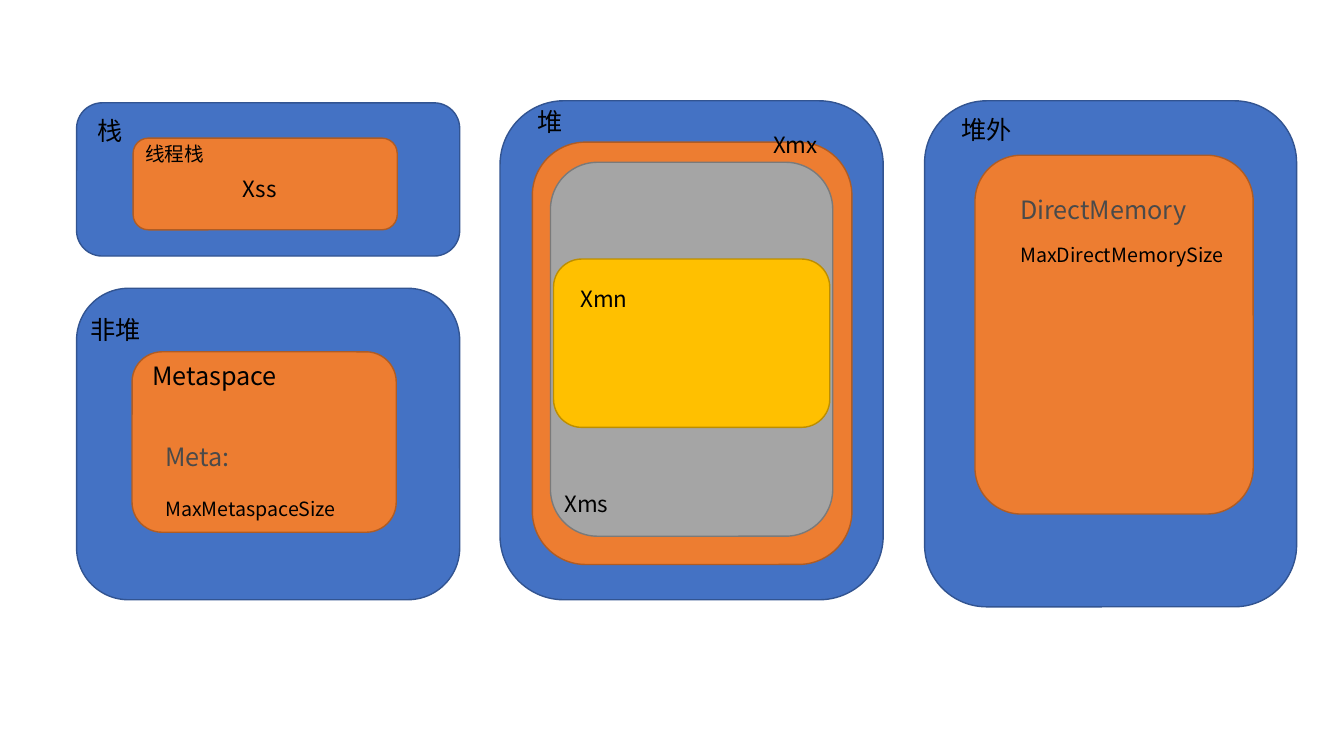
from dataclasses import dataclass

import pptx
import pptx.dml.color
import pptx.enum.shapes
import pptx.enum.text
import pptx.oxml
import pptx.util
from pptx.util import Inches

FONT = "Noto Sans CJK SC"
COLORS = {
    "area": "4472C4", "area_edge": "325491",
    "pool": "ED7D31", "pool_edge": "AF5C24",
    "initial": "A5A5A5", "initial_edge": "7A7A7A",
    "young": "FFC000", "young_edge": "BD8E00",
    "text": "000000", "muted": "4A4A4A",
}


@dataclass(frozen=True)
class Block:
    """A rounded memory block; its role selects fill and edge colours."""
    role: str
    left: float
    top: float
    width: float
    height: float


@dataclass(frozen=True)
class Line:
    """One paragraph of a label."""
    text: str
    size: int = 18
    color: str = "text"
    gap_before: int = 0


@dataclass(frozen=True)
class Label:
    """A text box made of one or more lines."""
    left: float
    top: float
    width: float
    height: float
    lines: tuple[Line, ...]


@dataclass(frozen=True)
class Region:
    """A memory region with its blocks and labels from back to front."""
    layers: tuple[Block | Label, ...]
    grouped: bool = False


STACK = Region((
    Block("area", 0.76, 1.02, 3.8, 1.52),
    Label(0.87, 1.14, 0.78, 0.4, (Line("栈"),)),
    Block("pool", 1.32, 1.37, 2.62, 0.91),
    Label(1.34, 1.41, 1.1, 0.34, (Line("线程栈", 14),)),
    Label(2.31, 1.74, 0.99, 0.37, (Line("Xss", 16),)),
))
HEAP = Region((
    Block("area", 4.96, 1, 3.8, 4.95),
    Block("pool", 5.28, 1.41, 3.17, 4.19),
    Block("initial", 5.46, 1.61, 2.8, 3.71),
    Label(5.23, 1.05, 2.34, 0.45, (Line("堆"),)),
    Label(7.57, 1.3, 1.23, 0.42, (Line("Xmx", 16),)),
    Label(5.5, 4.86, 1.23, 0.42, (Line("Xms", 16),)),
    Block("young", 5.49, 2.57, 2.74, 1.67),
    Label(5.66, 2.83, 0.84, 0.42, (Line("Xmn", 16),)),
), grouped=True)
NON_HEAP = Region((
    Block("area", 0.76, 2.86, 3.8, 3.09),
    Label(0.8, 3.12, 1.29, 0.4, (Line("非堆"),)),
    Block("pool", 1.31, 3.49, 2.62, 1.79),
    Label(1.41, 3.57, 1.89, 0.4, (Line("Metaspace"),)),
    Label(1.54, 4.38, 2.26, 0.94, (
        Line("Meta:", color="muted"),
        Line("MaxMetaspaceSize", 14, gap_before=18),
    )),
), grouped=True)
OFF_HEAP = Region((
    Block("area", 9.17, 1, 3.69, 5.02),
    Label(9.44, 1.13, 1.16, 0.42, (Line("堆外"),)),
    Block("pool", 9.67, 1.54, 2.76, 3.56),
    Label(10.02, 1.93, 2.33, 0.88, (
        Line("DirectMemory", color="muted"),
        Line("MaxDirectMemorySize", 14, gap_before=13),
    )),
))


def rgb(name: str) -> pptx.dml.color.RGBColor:
    """Look up a named colour."""
    return pptx.dml.color.RGBColor.from_string(COLORS[name])


def bounds(layer: Block | Label) -> tuple[int, ...]:
    """Give a layer's position and size as lengths."""
    return tuple(Inches(v) for v in (layer.left, layer.top, layer.width, layer.height))


def draw_block(shapes, block: Block) -> None:
    """Draw one rounded block."""
    body = shapes.add_shape(
        pptx.enum.shapes.MSO_SHAPE.ROUNDED_RECTANGLE, *bounds(block))
    body.shadow.inherit = False
    body.fill.solid()
    body.fill.fore_color.rgb = rgb(block.role)
    body.line.color.rgb = rgb(block.role + "_edge")
    body.line.width = pptx.util.Pt(1)


def draw_label(shapes, label: Label) -> None:
    """Draw one label, line by line."""
    frame = shapes.add_textbox(*bounds(label)).text_frame
    frame.word_wrap = True
    frame.auto_size = pptx.enum.text.MSO_AUTO_SIZE.SHAPE_TO_FIT_TEXT
    frame.margin_top = 0
    for index, line in enumerate(label.lines):
        paragraph = frame.add_paragraph() if index else frame.paragraphs[0]
        paragraph.space_before = pptx.util.Pt(line.gap_before)
        run = paragraph.add_run()
        run.text = line.text
        run.font.name = FONT
        run.font.size = pptx.util.Pt(line.size)
        run.font.color.rgb = rgb(line.color)
        # East Asian glyphs take their typeface from a separate element
        east_asian = pptx.oxml.parse_xml(
            '<a:ea xmlns:a="http://schemas.openxmlformats.org/drawingml/2006/main"'
            f' typeface="{FONT}"/>')
        run._r.get_or_add_rPr().append(east_asian)


def draw_region(slide, region: Region) -> None:
    """Draw a region's layers, within a group where asked."""
    shapes = slide.shapes
    if region.grouped:
        shapes = shapes.add_group_shape().shapes
    for layer in region.layers:
        if isinstance(layer, Block):
            draw_block(shapes, layer)
        else:
            draw_label(shapes, layer)


def main() -> None:
    """Build the memory layout slide."""
    deck = pptx.Presentation()
    deck.slide_width = Inches(13.33)
    deck.slide_height = Inches(7.5)
    slide = deck.slides.add_slide(deck.slide_layouts[6])
    for region in (STACK, HEAP, NON_HEAP, OFF_HEAP):
        draw_region(slide, region)
    deck.save("out.pptx")


main()
